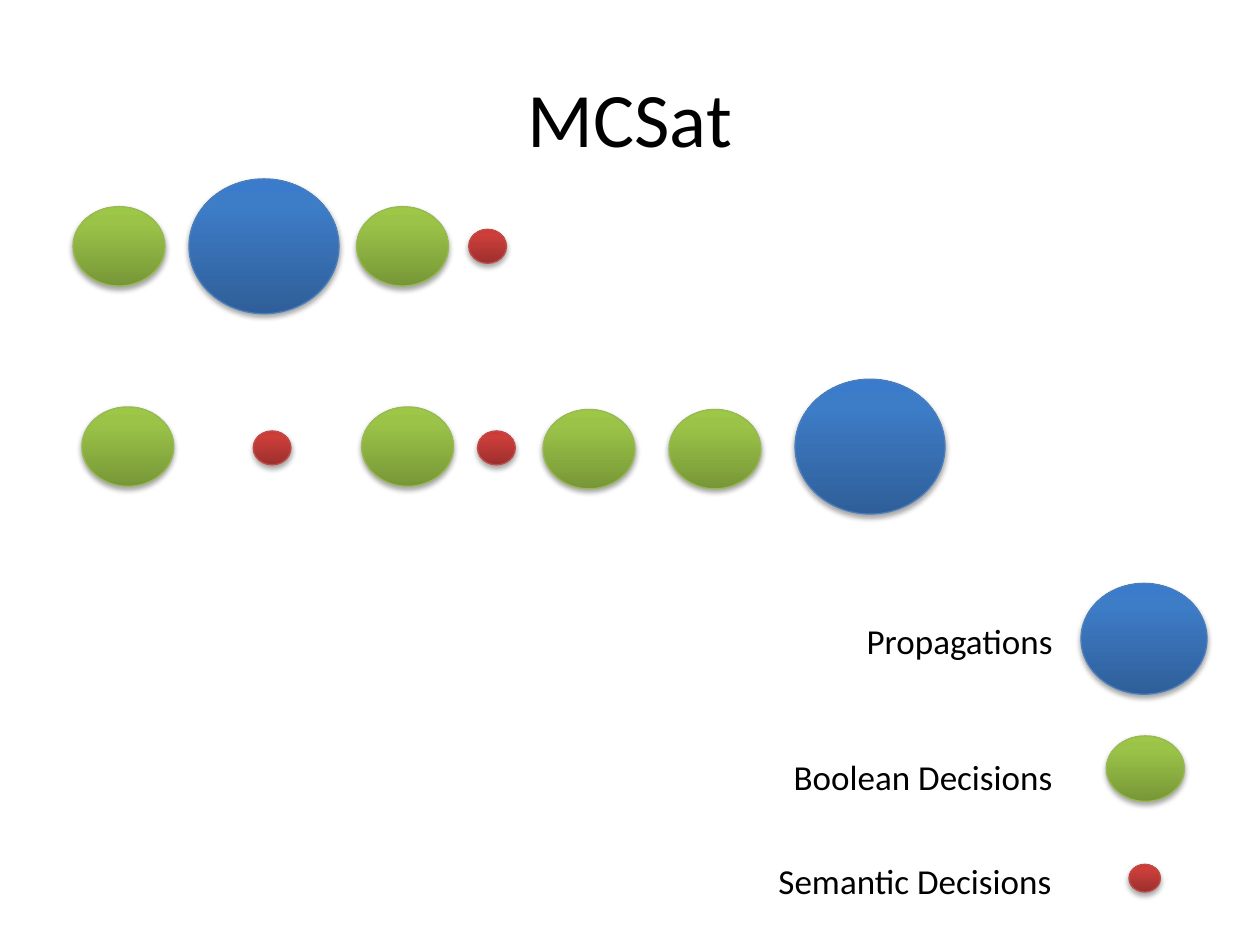
from copy import deepcopy

from lxml import etree
from pptx import Presentation
from pptx.dml.color import RGBColor
from pptx.enum.shapes import MSO_SHAPE
from pptx.enum.text import MSO_ANCHOR, MSO_AUTO_SIZE, PP_ALIGN
from pptx.oxml.ns import qn
from pptx.util import Emu, Pt

PX = 9144
OVAL = MSO_SHAPE.OVAL
MIDDLE = MSO_ANCHOR.MIDDLE
FIT = MSO_AUTO_SIZE.SHAPE_TO_FIT_TEXT
LEFT, CENTER = PP_ALIGN.LEFT, PP_ALIGN.CENTER

BLACK = RGBColor(0x00, 0x00, 0x00)
BLUE = [RGBColor(0x2F, 0x5F, 0x99), RGBColor(0x3D, 0x7C, 0xC7), RGBColor(0x3A, 0x7C, 0xCB)]
BLUE_LINE = RGBColor(0x4B, 0x7E, 0xBC)
GREEN = [RGBColor(0x77, 0x97, 0x37), RGBColor(0x9B, 0xC3, 0x48), RGBColor(0x9D, 0xC7, 0x46)]
GREEN_LINE = RGBColor(0x98, 0xB9, 0x55)
RED = [RGBColor(0x9C, 0x2F, 0x2D), RGBColor(0xCB, 0x3E, 0x3A), RGBColor(0xCE, 0x3B, 0x37)]
RED_LINE = RGBColor(0xBF, 0x4C, 0x48)

STYLES = {
    "propagation": (BLUE, BLUE_LINE, 119, 107),
    "boolean": (GREEN, GREEN_LINE, 73, 63),
    "semantic": (RED, RED_LINE, 30, 27),
}


def write(tf, text, size=20, align=LEFT, color=BLACK, font="Calibri"):
    p = tf.paragraphs[0]
    p.alignment = align
    r = p.add_run()
    r.text = text
    r.font.size = Pt(size)
    r.font.name = font
    r.font.color.rgb = color


def add_ball(group, kind, x, y, w=None, h=None):
    colors, line, full_w, full_h = STYLES[kind]
    sp = group.shapes.add_shape(
        OVAL, Emu(x * PX), Emu(y * PX), Emu((w or full_w) * PX), Emu((h or full_h) * PX))
    sp.fill.gradient()
    sp.fill.gradient_angle = 90
    stops = sp._element.spPr.find(qn("a:gradFill")).find(qn("a:gsLst"))
    stops.insert(1, deepcopy(stops[0]))
    for stop, color, position in zip(sp.fill.gradient_stops, colors, (0, 0.8, 1)):
        stop.color.rgb = color
        stop.position = position
    sp.line.color.rgb = line
    sp.line.width = Pt(0.75)
    sp.shadow.inherit = False
    effects = sp._element.spPr.find(qn("a:effectLst"))
    shadow = etree.SubElement(effects, qn("a:outerShdw"), blurRad=str(Pt(3.1)),
                              dist=str(Pt(1.8)), dir="5400000", rotWithShape="0")
    black = etree.SubElement(shadow, qn("a:srgbClr"), val="000000")
    etree.SubElement(black, qn("a:alpha"), val="35000")


prs = Presentation()
prs.slide_width, prs.slide_height = Emu(1000 * PX), Emu(750 * PX)
s = prs.slides.add_slide(prs.slide_layouts[5])

title = s.shapes.title
title.left, title.top = Emu(50 * PX), Emu(30 * PX)
title.width, title.height = Emu(900 * PX), Emu(125 * PX)
title.text_frame.vertical_anchor = MIDDLE
write(title.text_frame, "MCSat", size=44, align=CENTER)

trails = [
    [("propagation", 150, 142), ("boolean", 58, 164),
     ("semantic", 372, 182), ("boolean", 283, 164)],
    [("boolean", 65, 323), ("semantic", 201, 342), ("semantic", 379, 342),
     ("boolean", 287, 323), ("boolean", 531, 325), ("boolean", 431, 325),
     ("propagation", 631, 301)],
]
for trail in trails:
    group = s.shapes.add_group_shape()
    for kind, x, y in trail:
        add_ball(group, kind, x, y)

labels = [
    ("Propagations", 678, 487, 169),
    ("Boolean Decisions", 620, 595, 228),
    ("Semantic Decisions", 608, 677, 239),
]
keys = [
    ("propagation", 858, 463, 100, 88),
    ("boolean", 878, 584, 62, 52),
    ("semantic", 896, 686, 25, 22),
]
legend = s.shapes.add_group_shape()
for text, x, y, w in labels:
    box = legend.shapes.add_textbox(Emu(x * PX), Emu(y * PX), Emu(w * PX), Emu(44 * PX))
    tf = box.text_frame
    tf.word_wrap = False
    tf.auto_size = FIT
    write(tf, text)
for key in keys:
    add_ball(legend, *key)

prs.save("out.pptx")
